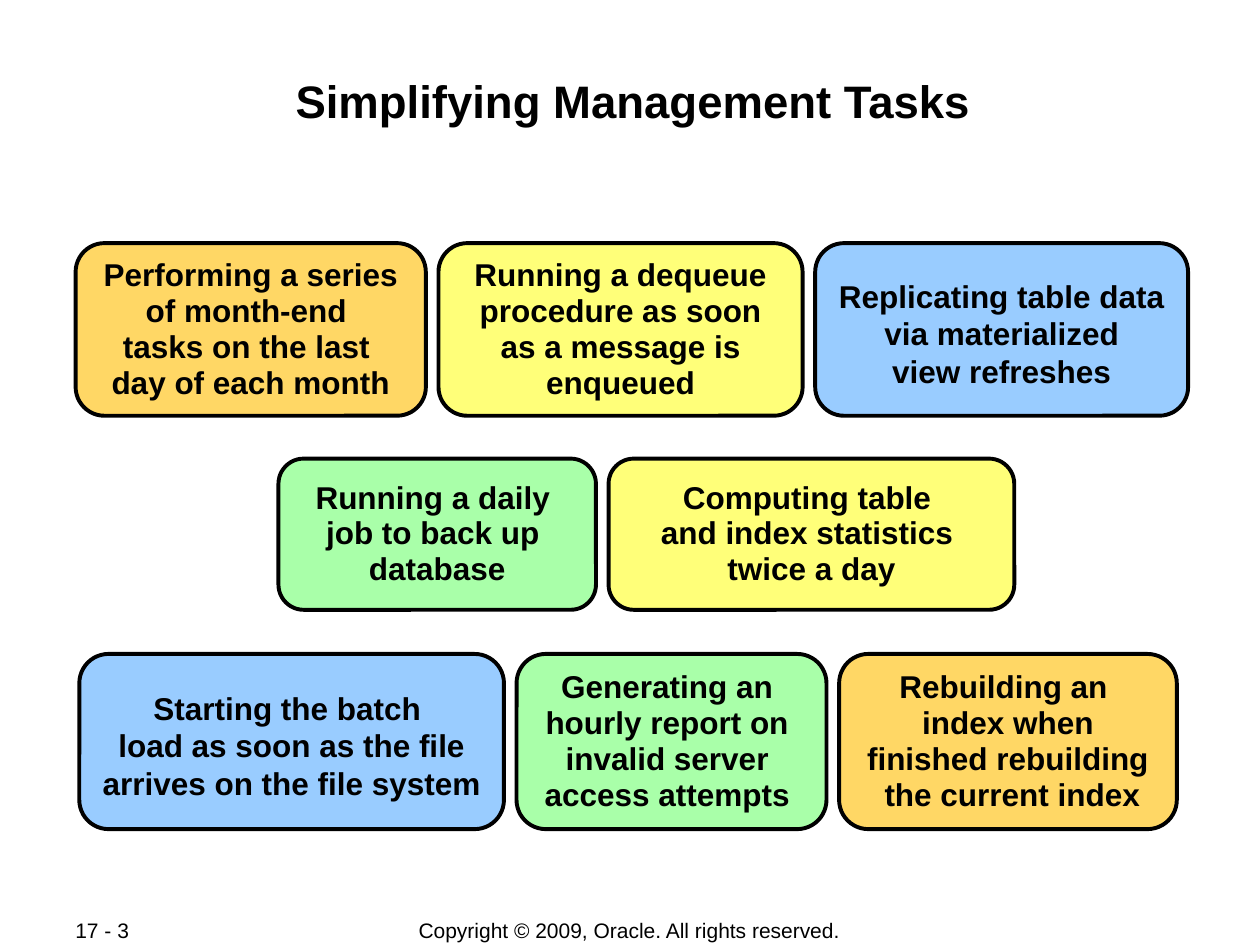
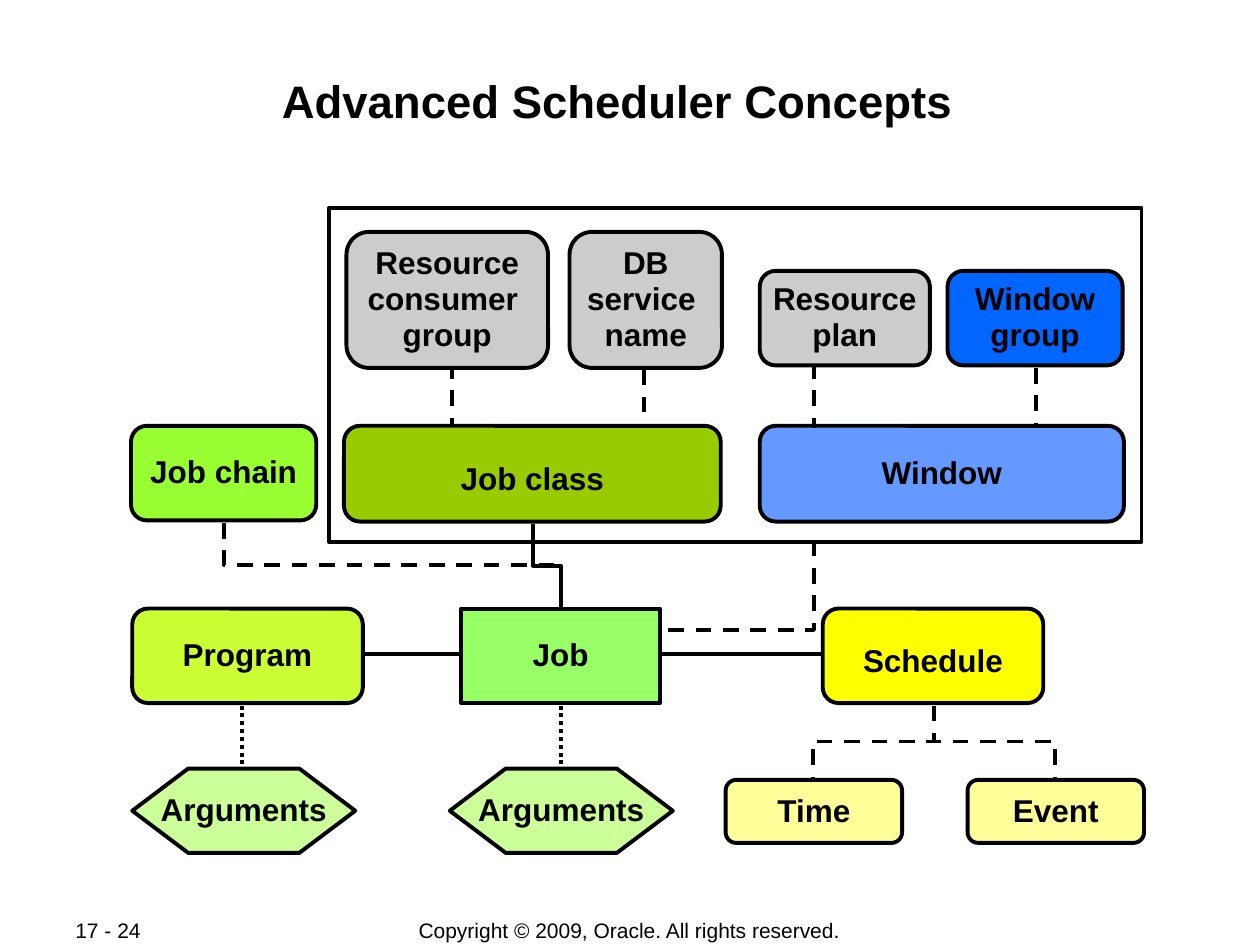
from pptx import Presentation
from pptx.dml.color import RGBColor
from pptx.enum.dml import MSO_LINE
from pptx.enum.shapes import MSO_CONNECTOR, MSO_SHAPE
from pptx.enum.text import MSO_ANCHOR, PP_ALIGN
from pptx.oxml.ns import qn
from pptx.util import Inches, Pt
from lxml.etree import SubElement

FONT = "Arial"
BLACK, WHITE = "000000", "FFFFFF"
ORANGE, YELLOW, BLUE, GREEN = "FFD765", "FFFF79", "99CCFF", "A9FFA9"
GREY, ARGUMENT_GREEN, PALE_YELLOW = "CCCCCC", "CCFF99", "FFFF99"
COPYRIGHT = "Copyright © 2009, Oracle. All rights reserved."
LINE_WIDTH = 2.25
NODE_HEIGHT = 0.75
TIGHT = 0.95  # line spacing used in most boxes


def color(hex_code):
    return RGBColor.from_string(hex_code)


def inches(*lengths):
    return [Inches(length) for length in lengths]


def write(frame, text, size, bold=False, align=PP_ALIGN.CENTER, spacing=None):
    frame.text = text
    for paragraph in frame.paragraphs:
        paragraph.alignment = align
        if spacing:
            paragraph.line_spacing = spacing
        for run in paragraph.runs:
            run.font.name = FONT
            run.font.size = Pt(size)
            run.font.bold = bold
            run.font.color.rgb = color(BLACK)


def set_margins(frame, side, top, bottom):
    frame.margin_left = frame.margin_right = Inches(side)
    frame.margin_top, frame.margin_bottom = Inches(top), Inches(bottom)


def stroke(outline, dash=None):
    outline.color.rgb = color(BLACK)
    outline.width = Pt(LINE_WIDTH)
    if dash:
        outline.dash_style = dash


# Parts shared by the slides
def add_title(slide, text, left, width):
    frame = slide.shapes.add_textbox(*inches(left, 0.48, width, 0.96)).text_frame
    frame.word_wrap = True
    set_margins(frame, 0.01, 0.1, 0.01)
    write(frame, text, 26, bold=True)


def add_footer(slide, page):
    for text, left, width, align in (
        (COPYRIGHT, 2.75, 4.49, PP_ALIGN.CENTER),
        (page, 0.5, 1.06, PP_ALIGN.LEFT),
    ):
        frame = slide.shapes.add_textbox(*inches(left, 7.28, width, 0.21)).text_frame
        frame.word_wrap = True
        frame.vertical_anchor = MSO_ANCHOR.MIDDLE
        set_margins(frame, 0.1, 0.05, 0.05)
        write(frame, text, 12, align=align)


def start_slide(deck, title, page, title_left, title_width):
    slide = deck.slides.add_slide(deck.slide_layouts[6])
    add_footer(slide, page)
    add_title(slide, title, title_left, title_width)
    return slide


def add_node(slide, text, fill, left, top, width, height=NODE_HEIGHT,
             outline=MSO_SHAPE.ROUNDED_RECTANGLE, spacing=TIGHT):
    node = slide.shapes.add_shape(outline, *inches(left, top, width, height))
    node.shadow.inherit = False
    node.fill.solid()
    node.fill.fore_color.rgb = color(fill)
    stroke(node.line)
    if text:
        frame = node.text_frame
        frame.word_wrap = False
        frame.vertical_anchor = MSO_ANCHOR.MIDDLE
        # Loosely spaced text sits a little lower in its box
        set_margins(frame, 0.05, 0.05 if spacing else 0.11, 0.05)
        write(frame, text, 18, bold=True, spacing=spacing)
    return node


def add_link(slide, x1, y1, x2, y2, dash=None, kind=MSO_CONNECTOR.STRAIGHT):
    link = slide.shapes.add_connector(kind, *inches(x1, y1, x2, y2))
    stroke(link.line, dash)
    SubElement(link._element.spPr, qn("a:effectLst"))
    return link


def add_drop_link(slide, x1, y1, x2, y2, dash=None):
    """Elbow that leaves downwards, crosses halfway and arrives downwards."""
    half_run, half_drop = abs(x2 - x1) / 2, (y2 - y1) / 2
    mid_x, mid_y = (x1 + x2) / 2, (y1 + y2) / 2
    link = add_link(slide, mid_x - half_drop, mid_y - half_run,
                    mid_x + half_drop, mid_y + half_run, dash, MSO_CONNECTOR.ELBOW)
    xfrm = link._element.spPr.find(qn("a:xfrm"))
    if x2 > x1:
        xfrm.set("rot", str(270 * 60000))
        xfrm.set("flipH", "1")
    else:
        xfrm.set("rot", str(90 * 60000))


# Slide of management tasks
def add_task_row(slide, left, top, height, tasks, gap=0.1):
    for text, fill, width, spacing in tasks:
        add_node(slide, text, fill, left, top, width, height, spacing=spacing)
        left += width + gap


def build_tasks(deck):
    slide = start_slide(deck, "Simplifying Management Tasks", "17 - 3", 0.74, 8.57)
    add_task_row(slide, 0.6, 1.93, 1.37, (
        ("Performing a series\vof month-end \vtasks on the last \vday of each month",
         ORANGE, 2.78, TIGHT),
        ("Running a dequeue\vprocedure as soon\vas a message is\venqueued",
         YELLOW, 2.89, TIGHT),
        ("Replicating table data\vvia materialized\vview refreshes",
         BLUE, 2.96, None),
    ))
    add_task_row(slide, 2.21, 3.64, 1.2, (
        ("Running a daily \vjob to back up \vdatabase", GREEN, 2.52, TIGHT),
        ("Computing table \vand index statistics \vtwice a day", YELLOW, 3.22, TIGHT),
    ))
    add_task_row(slide, 0.63, 5.19, 1.39, (
        ("Starting the batch \vload as soon as the file\varrives on the file system",
         BLUE, 3.37, None),
        ("Generating an \vhourly report on \vinvalid server \vaccess attempts ",
         GREEN, 2.46, TIGHT),
        ("Rebuilding an \vindex when\vfinished rebuilding\v the current index",
         ORANGE, 2.68, TIGHT),
    ))


# Slide of scheduler concepts
def add_job_row(slide, left, top):
    """Program, job and schedule, joined by one line behind them."""
    middle = top + 0.36
    add_link(slide, left + 1.69, middle, left + 5.53, middle)
    add_node(slide, "Program", "CCFF33", left, top, 1.83)
    add_node(slide, "Job", "99FF66", left + 2.61, top, 1.58,
             outline=MSO_SHAPE.RECTANGLE)
    add_node(slide, "Schedule", "FFFF00", left + 5.48, top, 1.75, spacing=None)


def add_arguments(slide, left, top, link_x):
    """Hexagon with a dotted line up to its owner."""
    arguments = add_node(slide, "Arguments", ARGUMENT_GREEN, left, top, 1.77, 0.67,
                         outline=MSO_SHAPE.HEXAGON)
    arguments.adjustments[0] = 0.663
    add_link(slide, link_x, top - 0.5, link_x, top - 0.01, MSO_LINE.ROUND_DOT)


def add_schedule_types(slide, left, top):
    """Time and event, hanging below the schedule."""
    for text, offset in (("Time", 0), ("Event", 1.92)):
        add_drop_link(slide, left + 1.65, top - 0.59, left + offset + 0.69,
                      top - 0.02, MSO_LINE.DASH)
        add_node(slide, text, PALE_YELLOW, left + offset, top, 1.4, 0.5)


def add_resource_panel(slide, left, top):
    """Frame with the job class and the window below their resources."""
    add_node(slide, "", WHITE, left, top, 6.45, 2.65, outline=MSO_SHAPE.RECTANGLE)
    # Job class to job
    add_drop_link(slide, left + 1.62, top + 2.51, left + 1.84, top + 3.17)
    add_node(slide, "Window", "6699FF", left + 3.42, top + 1.73, 2.89, 0.76)
    for x, start, end in ((0.98, 1.23, 1.75), (2.5, 1.28, 1.8),
                          (3.85, 1.23, 1.75), (5.61, 1.27, 1.71)):
        add_link(slide, left + x, top + start, left + x, top + end, MSO_LINE.DASH)
    for text, fill, x, y, width, height in (
        ("Resource\nconsumer \ngroup", GREY, 0.14, 0.19, 1.6, 1.08),
        ("DB\nservice \nname", GREY, 1.91, 0.19, 1.21, 1.08),
        ("Resource\nplan", GREY, 3.42, 0.5, 1.35, NODE_HEIGHT),
        ("Window\ngroup", "0066FF", 4.91, 0.5, 1.39, NODE_HEIGHT),
    ):
        add_node(slide, text, fill, left + x, top + y, width, height)
    add_node(slide, "Job class", "99CC00", left + 0.12, top + 1.73, 2.99, 0.76,
             spacing=None)


def add_job_chain(slide, left, top):
    add_node(slide, "Job chain", "99FF33", left, top, 1.47)
    add_drop_link(slide, left + 0.74, top + 0.77, left + 3.41, top + 1.44,
                  MSO_LINE.DASH)


def add_panel_to_job(slide, left, top, width=1.21, height=0.71):
    """Dashed corner from the panel down and left to the job."""
    right, bottom = left + width, top + height
    builder = slide.shapes.build_freeform(*inches(right, top))
    builder.add_line_segments([inches(right, bottom), inches(left, bottom)],
                              close=False)
    corner = builder.convert_to_shape()
    corner.shadow.inherit = False
    corner.fill.background()
    stroke(corner.line, MSO_LINE.DASH)


def build_concepts(deck):
    slide = start_slide(deck, "Advanced Scheduler Concepts  ", "17 - 24", 0.67, 8.66)
    add_job_row(slide, 1.05, 4.83)
    add_arguments(slide, 1.05, 6.1, 1.92)
    add_arguments(slide, 3.57, 6.1, 4.45)
    add_schedule_types(slide, 5.76, 6.19)
    add_resource_panel(slide, 2.61, 1.65)
    add_job_chain(slide, 1.04, 3.38)
    add_panel_to_job(slide, 5.25, 4.29)


def main():
    deck = Presentation()
    deck.slide_width, deck.slide_height = inches(10, 7.5)
    build_tasks(deck)
    build_concepts(deck)
    deck.save("out.pptx")


if __name__ == "__main__":
    main()
